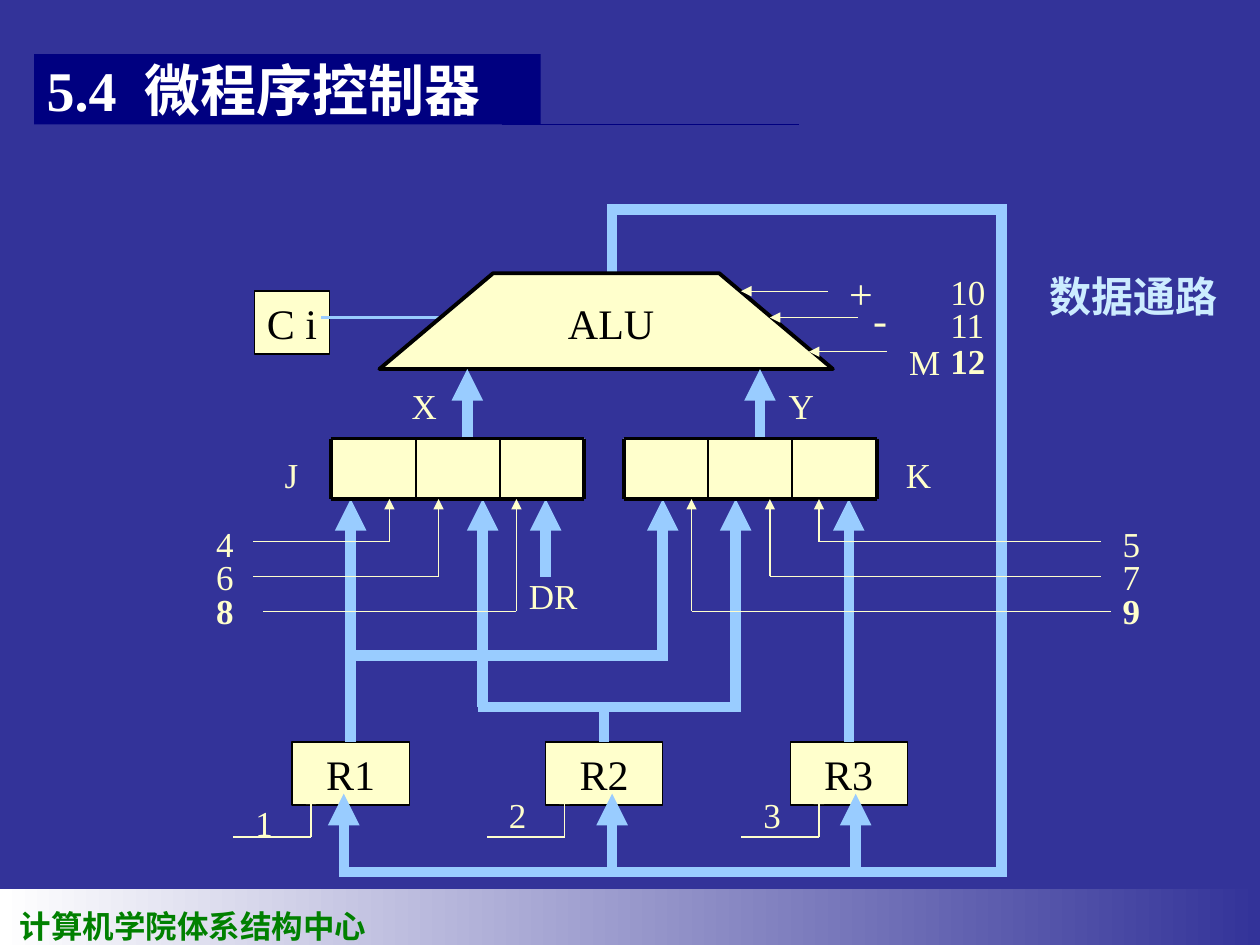
from lxml import etree
from pptx import Presentation
from pptx import util as u
from pptx.dml.color import RGBColor
from pptx.enum import shapes, text
from pptx.oxml.ns import qn

BACK, NAVY, BUS, CREAM, BLACK, WHITE = (
    "333399", "000080", "99CCFF", "FFFFCC", "000000", "FFFFFF")
THICK, EDGE, THIN = 6, 2.25, 0.75
ALIGN = text.PP_ALIGN


def color(value):
    return RGBColor.from_string(value)


def write(shape, *spans, size=20, ink=CREAM, bold=False, align=ALIGN.LEFT,
          anchor=text.MSO_ANCHOR.TOP, wrap=False):
    """Put one paragraph into a shape and return it."""
    frame = shape.text_frame
    frame.word_wrap = wrap
    frame.vertical_anchor = anchor
    para = frame.paragraphs[0]
    para.alignment = align
    for words in spans:
        span = para.add_run()
        span.text = words
        span.font.name = "Times New Roman"
        span.font.size = u.Pt(size)
        span.font.bold = bold
        span.font.color.rgb = color(ink)
    return para


def label(page, words, left, top, width=0.86, height=1.12, **style):
    box = page.shapes.add_textbox(*map(u.Cm, (left, top, width, height)))
    write(box, words, **style)


def block(page, left, top, width, height, fill=CREAM, line=None):
    box = page.shapes.add_shape(shapes.MSO_SHAPE.RECTANGLE,
                                *map(u.Cm, (left, top, width, height)))
    box.shadow.inherit = False
    box.fill.solid()
    box.fill.fore_color.rgb = color(fill)
    if line:
        box.line.color.rgb = color(line)
        box.line.width = u.Pt(THIN)
    else:
        box.line.fill.background()
    return box


def stroke(page, x1, y1, x2, y2, ink=BUS, weight=THICK, arrow=False, source=None):
    """Draw a line; source is a box whose top middle is its start."""
    wire = page.shapes.add_connector(shapes.MSO_CONNECTOR.STRAIGHT,
                                     *map(u.Cm, (x1, y1, x2, y2)))
    wire.line.color.rgb = color(ink)
    wire.line.width = u.Pt(weight)
    if arrow:
        etree.SubElement(wire.line._get_or_add_ln(), qn("a:tailEnd"), type="triangle")
    etree.SubElement(wire._element.spPr, qn("a:effectLst"))
    if source is not None:
        wire.begin_connect(source, 0)


def footer(page, left, top, width, height):
    band = block(page, left, top, width, height)
    band.fill.gradient()
    band.fill.gradient_angle = 0
    for stop, value in zip(band.fill.gradient_stops, (WHITE, BACK)):
        stop.color.rgb = color(value)
    label(page, "计算机学院体系结构中心", left + 0.15, top + 0.23, 7.49, 1.02,
          size=18, ink="008000", bold=True)


def header(page, left, top, width, height):
    box = block(page, left, top, width, height, fill=NAVY)
    para = write(box, "5.4", " ", "微程序控制器", size=32, ink=WHITE, bold=True,
                 align=ALIGN.JUSTIFY, anchor=text.MSO_ANCHOR.MIDDLE, wrap=True)
    # Widen the gap after the number
    para.runs[1]._r.get_or_add_rPr().set("spc", "800")
    bottom = top + height
    stroke(page, left + 9.42, bottom, left + 15.41, bottom, NAVY, THIN)


def register(page, name, left, top):
    box = block(page, left, top, 2.36, 1.27, line=BLACK)
    write(box, name, size=24, ink=BLACK, align=ALIGN.CENTER, wrap=True)
    return box


def load_line(page, number, left, top, drop):
    """Numbered load signal that enters a register from below left."""
    x, y = left + 1.57, top + 0.87
    stroke(page, x, y, x, top, CREAM, THIN, arrow=True)
    stroke(page, x, y, left, y, CREAM, THIN)
    label(page, number, left + 0.2, top + drop)


def feeds(page, left, top, registers):
    """Buses from the registers up to the latches."""
    r1, r2, r3 = registers
    base, row1, row2 = top + 4.9, top + 3.15, top + 4.19

    def rise(x, start, source=None):
        stroke(page, left + x, start, left + x, top, arrow=True, source=source)

    rise(0, base, r1)
    rise(3.93, top + 1.57)
    stroke(page, left - 0.11, row1, left + 6.39, row1)
    rise(6.29, row1)
    stroke(page, left + 5.11, base, left + 5.11, row2, source=r2)
    rise(2.66, row2)
    rise(7.76, row2)
    stroke(page, left + 2.56, row2, left + 7.87, row2)
    rise(10.04, base, r3)
    label(page, "DR", left + 3.34, top + 1.4, 1.57)


def result_bus(page, left, top, right, bottom):
    """Bus from the ALU output round to the register inputs."""
    for x in (0.1, 5.51, 10.42):
        stroke(page, left + x, bottom, left + x, top + 11.89, arrow=True)
    stroke(page, left, bottom, right + 0.1, bottom)
    stroke(page, right, bottom, right, top)
    stroke(page, left + 5.51, top, left + 5.51, top + 1.4)
    stroke(page, left + 5.51, top + 0.11, right, top + 0.11)


def alu(page, left, top, width, height):
    # Carry input
    carry = block(page, left - 2.52, top + 0.36, 1.52, 1.27, line=BLACK)
    write(carry, "C i", size=24, ink=BLACK)
    stroke(page, left - 1.17, top + 0.89, left + 1.19, top + 0.89, weight=EDGE)
    # Body
    right, bottom, inset = left + width, top + height, 2.29
    outline = page.shapes.build_freeform(u.Cm(left), u.Cm(bottom))
    outline.add_line_segments([(u.Cm(x), u.Cm(y)) for x, y in (
        (left + inset, top), (right - inset, top), (right, bottom))])
    body = outline.convert_to_shape()
    body.shadow.inherit = False
    body.fill.solid()
    body.fill.fore_color.rgb = color(CREAM)
    body.line.color.rgb = color(BLACK)
    body.line.width = u.Pt(EDGE)
    label(page, "ALU", left + 3.55, top + 0.36, 2.24, 1.27, size=24, ink=BLACK)
    # Function signals
    for x1, x2, y in ((9.04, 7.29, 0.36), (9.65, 7.87, 0.89), (10.23, 8.66, 1.58)):
        stroke(page, left + x1, top + y, left + x2, top + y, CREAM, THIN, arrow=True)
    for sign, x, y, size in (("+", 9.22, -0.25, 24), ("-", 9.7, 0.28, 24),
                             ("M", 10.43, 1.22, 20)):
        label(page, sign, left + x, top + y, size=size)
    for number, y in (("10", -0.18), ("11", 0.48), ("12", 1.2)):
        label(page, number, left + 11.26, top + y, 1.22, bold=number == "12")


def latch(page, left, top, output, name, name_x, port, port_x):
    """Three-cell latch with its output arrow and two names."""
    cell, height, count = 1.7, 1.22, 3
    right, bottom = left + count * cell, top + height
    stroke(page, left + output, top, left + output, top - 1.4, arrow=True)
    for i in range(count):
        block(page, left + i * cell, top, cell, height)
    for y in (top, bottom):
        stroke(page, left, y, right, y, BLACK, EDGE)
    for i in range(count + 1):
        x = left + i * cell
        stroke(page, x, top, x, bottom, BLACK, EDGE if i in (0, count) else 1)
    label(page, name, left + name_x, top + 0.18, 1.04)
    label(page, port, left + port_x, top - 1.22, 1.04)


def select_lines(page, top, numbers, gates, ends, label_x):
    """Numbered gate signals that turn up into one latch."""
    for i, (number, gate, end) in enumerate(zip(numbers, gates, ends)):
        y = top + 0.86 + 0.7 * i
        stroke(page, gate, y, gate, top, CREAM, THIN, arrow=True)
        stroke(page, gate, y, end, y, CREAM, THIN)
        label(page, number, label_x, top + 0.35 + 0.67 * i, bold=i == 2)


def main():
    deck = Presentation()
    deck.slide_width, deck.slide_height = u.Cm(25.4), u.Cm(19.05)
    page = deck.slides.add_slide(deck.slide_layouts[6])
    page.background.fill.solid()
    page.background.fill.fore_color.rgb = color(BACK)

    footer(page, 0, 17.93, 25.4, 1.12)
    registers = [register(page, name, left, 14.96) for name, left in
                 (("R1", 5.89), ("R2", 11), ("R3", 15.93))]
    feeds(page, 7.07, 10.06, registers)
    result_bus(page, 6.83, 4.11, 20.19, 17.58)
    alu(page, 7.65, 5.51, 9.14, 1.93)
    latch(page, 6.68, 8.84, 2.74, "J", -1.19, "X", 1.37)
    latch(page, 12.57, 8.84, 2.75, "K", 5.44, "Y", 3.08)
    for number, left, drop in (("1", 4.7, 0.03), ("2", 9.81, -0.12),
                               ("3", 14.94, -0.12)):
        load_line(page, number, left, 16, drop)
    select_lines(page, 10.06, "468", (7.85, 8.84, 10.41), (5.11, 5.11, 5.31), 4.11)
    select_lines(page, 10.06, "579", (16.51, 15.52, 13.94), (22.2, 22.2, 22.4), 22.38)
    label(page, "数据通路", 20.9, 5.33, 3.89, 1.27, size=24, ink="CCECFF",
          bold=True, align=ALIGN.CENTER)
    header(page, 0.69, 1.09, 10.21, 1.42)
    deck.save("out.pptx")


if __name__ == "__main__":
    main()
